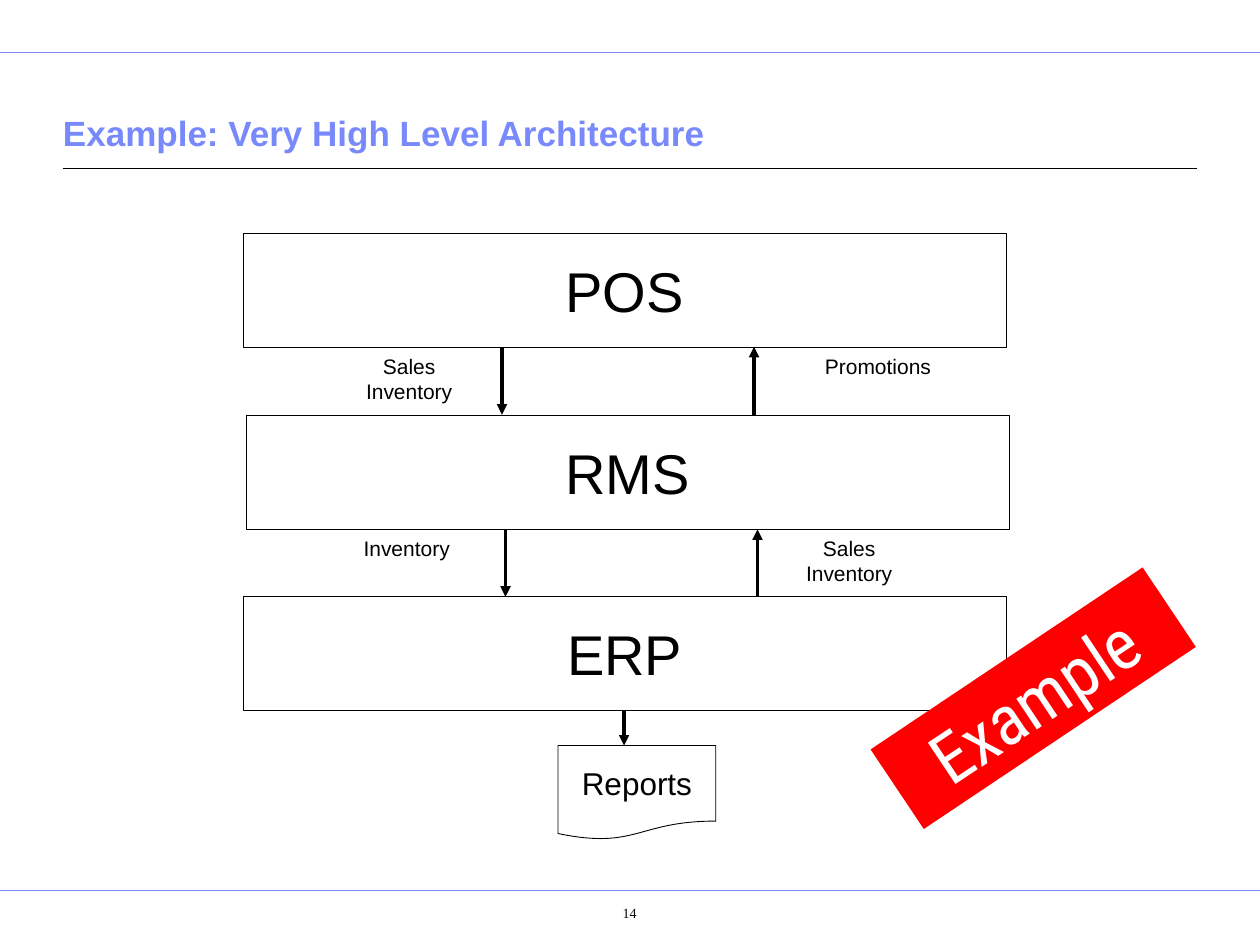
from typing import NamedTuple

from lxml import etree
from pptx import Presentation
from pptx.dml.color import RGBColor
from pptx.enum.shapes import MSO_CONNECTOR, MSO_SHAPE
from pptx.enum.text import MSO_ANCHOR, PP_ALIGN
from pptx.oxml.ns import qn
from pptx.util import Cm, Pt

RECT, DOCUMENT = MSO_SHAPE.RECTANGLE, MSO_SHAPE.FLOWCHART_DOCUMENT
STRAIGHT = MSO_CONNECTOR.STRAIGHT
LEFT, CENTER = PP_ALIGN.LEFT, PP_ALIGN.CENTER
TOP, MIDDLE, BOTTOM = MSO_ANCHOR.TOP, MSO_ANCHOR.MIDDLE, MSO_ANCHOR.BOTTOM

BLACK, WHITE, RED, ACCENT = "000000", "FFFFFF", "FF0000", "7889FB"


# Positions and lengths are in centimetres
class Box(NamedTuple):
    x: float
    y: float
    w: float
    h: float


class Node(NamedTuple):
    text: str
    box: Box
    size: float = 32
    kind: int = RECT


class Flow(NamedTuple):
    x: float
    start: float
    end: float


class Label(NamedTuple):
    text: str
    x: float
    y: float


SYSTEM_W, SYSTEM_H = 15.39, 2.29
NODES = [
    Node("POS", Box(4.9, 4.71, SYSTEM_W, SYSTEM_H)),
    Node("RMS", Box(4.96, 8.38, SYSTEM_W, SYSTEM_H)),
    Node("ERP", Box(4.9, 12.03, SYSTEM_W, SYSTEM_H)),
    Node("Reports", Box(11.25, 15.03, 3.18, 1.9), 18, DOCUMENT),
]
FLOWS = [
    Flow(10.12, 6.99, 8.36),
    Flow(15.2, 8.36, 6.99),
    Flow(10.19, 10.67, 12.03),
    Flow(15.27, 12.03, 10.67),
    Flow(12.58, 14.31, 15.03),
]
LABELS = [
    Label("Sales\nInventory", 6.32, 6.99),
    Label("Promotions", 15.77, 6.99),
    Label("Inventory", 6.27, 10.67),
    Label("Sales\nInventory", 15.19, 10.67),
]


def rgb(color: str) -> RGBColor:
    return RGBColor.from_string(color)


def write(sp, text: str, *, size: float, color: str = BLACK, font: str = "Arial",
          bold: bool = False, align=CENTER, anchor=TOP, wrap: bool = True,
          insets=(0.25, 0.13, 0.25, 0.13)) -> None:
    tf = sp.text_frame
    tf.word_wrap = wrap
    tf.vertical_anchor = anchor
    (tf.margin_left, tf.margin_top,
     tf.margin_right, tf.margin_bottom) = map(Cm, insets)
    p = tf.paragraphs[0]
    p.text = text.replace("\n", "\v")
    p.alignment = align
    for r in p.runs:
        r.font.name = font
        r.font.size = Pt(size)
        r.font.bold = bold
        r.font.color.rgb = rgb(color)


def add_text(s, box: Box, text: str, **fmt) -> None:
    write(s.shapes.add_textbox(*map(Cm, box)), text, **fmt)


def add_shape(s, kind: int, box: Box, fill: str, line: str | None = None):
    sp = s.shapes.add_shape(kind, *map(Cm, box))
    sp.shadow.inherit = False
    sp.fill.solid()
    sp.fill.fore_color.rgb = rgb(fill)
    if line:
        sp.line.color.rgb = rgb(line)
        sp.line.width = Pt(0.5)
    else:
        sp.line.fill.background()
    return sp


def add_line(s, x1: float, y1: float, x2: float, y2: float, color: str,
             width: float, arrow: bool = False) -> None:
    c = s.shapes.add_connector(STRAIGHT, *map(Cm, (x1, y1, x2, y2)))
    c.line.color.rgb = rgb(color)
    c.line.width = Pt(width)
    if arrow:
        etree.SubElement(c.line._get_or_add_ln(), qn("a:tailEnd"), type="triangle")
    etree.SubElement(c._element.spPr, qn("a:effectLst"))


def main() -> None:
    prs = Presentation()
    prs.slide_width, prs.slide_height = Cm(25.4), Cm(19.05)
    s = prs.slides.add_slide(prs.slide_layouts[6])

    # Page frame and title
    for y in (1.06, 17.96):
        add_line(s, 0, y, 25.4, y, ACCENT, 0.5)
    add_line(s, 1.27, 3.4, 24.13, 3.4, BLACK, 0.75)
    add_text(s, Box(1.27, 1.63, 22.86, 1.6), "Example: Very High Level Architecture",
             size=20, color=ACCENT, bold=True, align=LEFT, anchor=BOTTOM,
             insets=(0, 0.13, 0, 0.13))

    # Systems and the data flowing between them
    for node in NODES:
        sp = add_shape(s, node.kind, node.box, WHITE, BLACK)
        write(sp, node.text, size=node.size, anchor=MIDDLE, wrap=False)
    for flow in FLOWS:
        add_line(s, flow.x, flow.start, flow.x, flow.end, BLACK, 2, arrow=True)
    for label in LABELS:
        lines = label.text.count("\n") + 1
        add_text(s, Box(label.x, label.y, 3.86, 0.25 + 0.51 * lines), label.text, size=12)

    # Stamp
    stamp = add_shape(s, RECT, Box(17.53, 13.11, 6.6, 1.93), RED)
    stamp.rotation = 326.2
    write(stamp, "Example", size=40, color=WHITE, font="Roboto Condensed")

    # Page number
    add_text(s, Box(10.85, 18.06, 2.92, 0.89), "14", size=8,
             font="Times New Roman", insets=(1.02, 0.18, 0.25, 0.13))

    prs.save("out.pptx")


if __name__ == "__main__":
    main()
